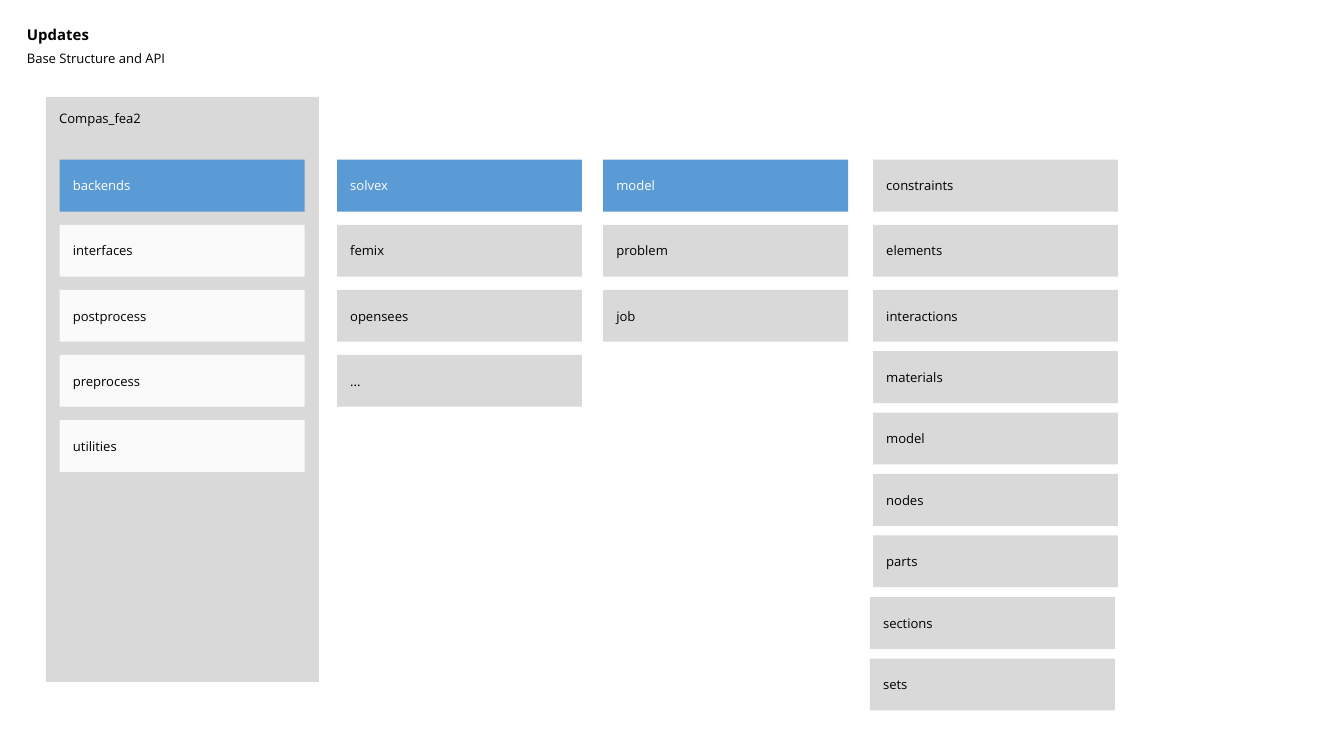
"""Build the slide that shows the base structure as columns of boxes."""
from dataclasses import dataclass

from pptx import Presentation
from pptx import util as u
from pptx.dml.color import RGBColor
from pptx.enum import shapes, text


@dataclass(frozen=True)
class Theme:
    """Hold the colours, font and type sizes."""
    font: str = "Open Sans"
    head: float = 8
    body: float = 7
    ink: str = "000000"
    pale: str = "FFFFFF"
    blue: str = "5B9BD5"
    grey: str = "D9D9D9"
    light: str = "FAFAFA"


@dataclass(frozen=True)
class Stack:
    """Describe one column of boxes, in centimetres."""
    left: float
    names: tuple[str, ...]
    fill: str
    top: float = 3.02
    pitch: float = 1.23
    lead: bool = False


THEME = Theme()
WIDE, HIGH = 4.63, 0.98
PAD = 0.25
STACKS = (
    Stack(1.13, ("backends", "interfaces", "postprocess", "preprocess", "utilities"),
          THEME.light, lead=True),
    Stack(6.37, ("solvex", "femix", "opensees", "..."), THEME.grey, lead=True),
    Stack(11.4, ("model", "problem", "job"), THEME.grey, lead=True),
    Stack(16.5, ("constraints", "elements", "interactions"), THEME.grey),
    Stack(16.5, ("materials", "model", "nodes", "parts"), THEME.grey, 6.64, 1.16),
    Stack(16.44, ("sections", "sets"), THEME.grey, 11.29, 1.16),
)


def write(shape, words: str, *, size: float = THEME.body, color: str = THEME.ink,
          bold: bool = False, middle: bool = False, pad: float = 0,
          space: float = 1) -> None:
    """Put formatted, left-aligned text in a shape."""
    frame = shape.text_frame
    frame.word_wrap = True
    frame.margin_left = frame.margin_right = u.Cm(pad)
    frame.margin_top = frame.margin_bottom = u.Cm(pad)
    anchor = text.MSO_ANCHOR
    frame.vertical_anchor = anchor.MIDDLE if middle else anchor.TOP
    para = frame.paragraphs[0]
    para.alignment = text.PP_ALIGN.LEFT
    para.line_spacing = space
    run = para.add_run()
    run.text = words
    font = run.font
    font.name, font.size, font.bold = THEME.font, u.Pt(size), bold
    font.color.rgb = RGBColor.from_string(color)


def block(slide, left: float, top: float, wide: float, high: float, fill: str):
    """Draw a plain filled rectangle."""
    shape = slide.shapes.add_shape(
        shapes.MSO_SHAPE.RECTANGLE, u.Cm(left), u.Cm(top), u.Cm(wide), u.Cm(high))
    shape.shadow.inherit = False
    shape.fill.solid()
    shape.fill.fore_color.rgb = RGBColor.from_string(fill)
    shape.line.fill.background()
    return shape


def pile(slide, stack: Stack) -> None:
    """Draw a column of boxes, with a blue first box if it leads."""
    for row, name in enumerate(stack.names):
        first = stack.lead and row == 0
        box = block(slide, stack.left, stack.top + row * stack.pitch, WIDE, HIGH,
                    THEME.blue if first else stack.fill)
        write(box, name, color=THEME.pale if first else THEME.ink,
              middle=True, pad=PAD)


def label(slide, top: float, high: float, words: str, **style) -> None:
    """Add a heading line at the left margin."""
    box = slide.shapes.add_textbox(u.Cm(0.51), u.Cm(top), u.Cm(11.61), u.Cm(high))
    write(box, words, space=0.9, **style)


def main() -> None:
    """Build and save the slide."""
    deck = Presentation()
    deck.slide_width, deck.slide_height = u.Cm(25.4), u.Cm(14.29)
    slide = deck.slides.add_slide(deck.slide_layouts[6])
    panel = block(slide, 0.87, 1.83, 5.16, 11.06, THEME.grey)
    write(panel, "Compas_fea2", pad=PAD)
    for stack in STACKS:
        pile(slide, stack)
    label(slide, 0.53, 0.3, "Updates", size=THEME.head, bold=True)
    label(slide, 0.98, 0.9, "Base Structure and API")
    deck.save("out.pptx")


if __name__ == "__main__":
    main()
